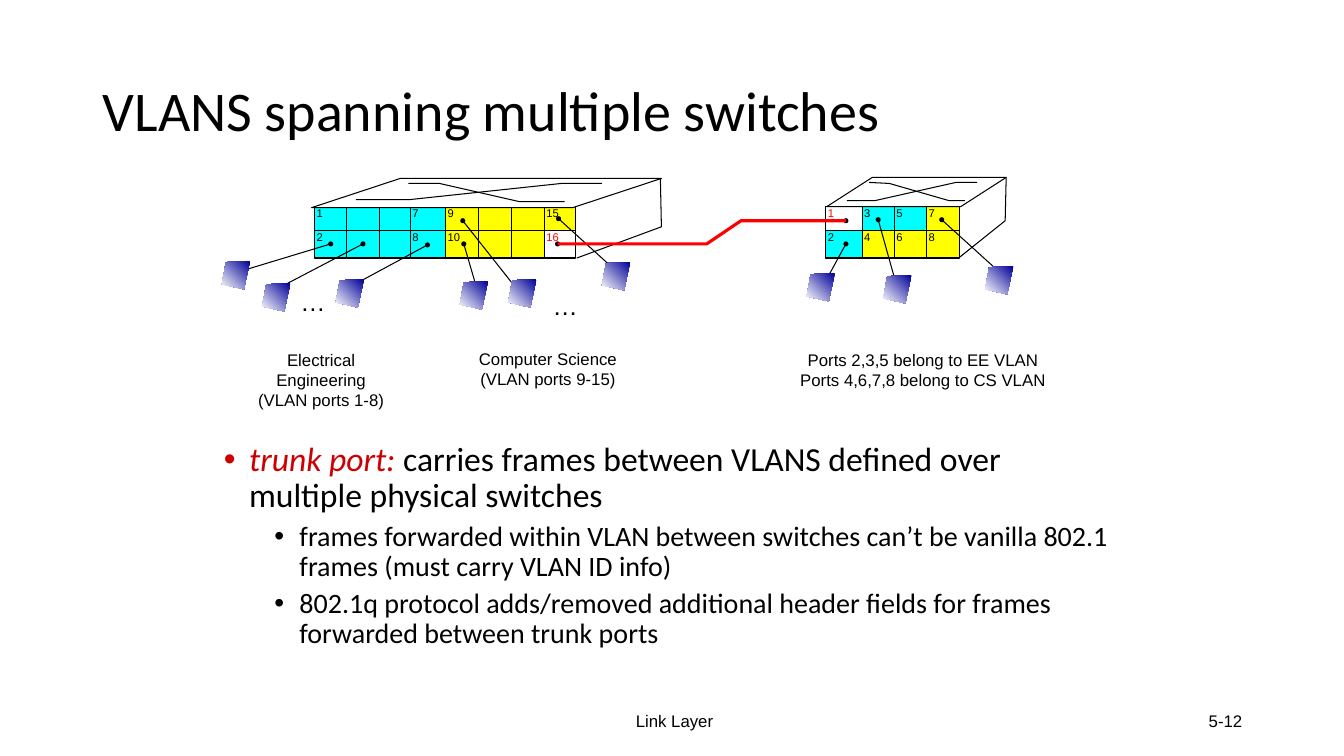
from lxml import etree
from pptx import Presentation
from pptx.dml.color import RGBColor
from pptx.enum import shapes, text
from pptx.oxml.ns import qn
from pptx.util import Inches, Pt

COLORS = {"black": "000000", "white": "FFFFFF", "red": "FF0000", "term": "CC0000",
          "C": "00FFFF", "Y": "FFFF00", "host": "000099"}

TITLE = "VLANS spanning multiple switches"
# (level, [(text, colour, italic)])
BODY = [
    (0, [("trunk port: ", "term", True),
         ("carries frames between VLANS defined over multiple physical switches", "black", False)]),
    (1, [("frames forwarded within VLAN between switches can’t be vanilla 802.1 frames "
          "(must carry VLAN ID info)", "black", False)]),
    (1, [("802.1q protocol adds/removed additional header fields for frames forwarded "
          "between trunk ports", "black", False)]),
]
LEVELS = [dict(size=24, indent=0.25, before=10), dict(size=20, indent=0.75, before=5)]

# Ports are numbered down each column; "." is an uncoloured port.
FRONT_TOP, ROW_SPLIT, FRONT_BOTTOM = 2.05, 2.29, 2.56
SWITCHES = [
    dict(edges=[3.12, 3.44, 3.76, 4.07, 4.42, 4.75, 5.07, 5.4, 5.71],
         rows=["CCCCYYYY", "CCCCYYY."], labels=[1, 2, 7, 8, 9, 10, 15, 16], trunk=16,
         lid=(3.09, 1.77, 3.47, 0.29), slant=3.032,
         outlines=[[(5.72, 2.56), (6.56, 2.25), (6.55, 1.77)],
                   [(3.53, 1.98), (4.07, 1.98), (5.57, 1.82), (5.97, 1.82)],
                   [(4.05, 1.82), (4.36, 1.82), (5.15, 2), (5.6, 2)]]),
    dict(edges=[8.19, 8.55, 8.87, 9.19, 9.52],
         rows=[".CCY", "CYYY"], labels=range(1, 9), trunk=1,
         lid=(8.2, 1.76, 1.78, 0.29), slant=1.556,
         outlines=[[(9.98, 1.76), (9.97, 2.19), (9.52, 2.55)],
                   [(8.4, 1.99), (8.68, 1.99), (9.48, 1.81), (9.69, 1.81)],
                   [(8.62, 1.81), (8.82, 1.82), (9.41, 1.99), (9.57, 1.99)]]),
]
# (port end of cable, host end of cable, top left of host)
HOSTS = [
    ((3.28, 2.42), (2.29, 2.72), (2.2, 2.59)),
    ((3.6, 2.42), (2.72, 2.88), (2.6, 2.81)),
    ((4.24, 2.43), (3.5, 2.83), (3.33, 2.77)),
    ((4.6, 2.42), (4.72, 2.83), (4.56, 2.79)),
    ((4.59, 2.19), (5.12, 2.86), (5.04, 2.77)),
    ((5.54, 2.17), (6.09, 2.67), (5.97, 2.6)),
    ((8.39, 2.42), (8.21, 2.75), (8, 2.71)),
    ((8.71, 2.18), (8.9, 2.86), (8.76, 2.73)),
    ((9.34, 2.18), (9.88, 2.67), (9.77, 2.64)),
]
HOST_OUTLINE = [(0.28, 0), (0.04, 0.01), (0, 0.23), (0.22, 0.28)]
TRUNK = [(5.53, 2.42), (7.01, 2.42), (7.35, 2.19), (8.39, 2.19)]

# (lines, box, format)
CAPTIONS = [
    (["Electrical\vEngineering", "(VLAN ports 1-8)"], (2.28, 3.42, 1.81, 0.7), {}),
    (["Computer Science", "(VLAN ports 9-15)"], (4.65, 3.41, 1.57, 0.5), {}),
    (["Ports 2,3,5 belong to EE VLAN", "Ports 4,6,7,8 belong to CS VLAN"],
     (7.84, 3.42, 2.63, 0.5), {}),
    (["…"], (2.88, 2.79, 0.45, 0.4), dict(size=18)),
    (["…"], (5.38, 2.83, 0.45, 0.4), dict(size=18)),
    (["Link Layer"], (4.44, 6.95, 4.5, 0.4), dict(anchor="MIDDLE")),
    (["5-12"], (9.42, 6.95, 3, 0.4), dict(anchor="MIDDLE", align="RIGHT")),
]

prs = Presentation()
prs.slide_width, prs.slide_height = Inches(13.33), Inches(7.5)
slide = prs.slides.add_slide(prs.slide_layouts[1])
sp_tree = slide.shapes


def rgb(name):
    return RGBColor.from_string(COLORS[name])


def inches(values):
    return [Inches(v) for v in values]


def set_font(font, **values):
    font.color.rgb = rgb(values.pop("color", "black"))
    for key, value in values.items():
        setattr(font, key, value)


def paint(sp, fill=None, line=None, width=0.75):
    sp.shadow.inherit = False
    if fill:
        sp.fill.solid()
        sp.fill.fore_color.rgb = rgb(fill)
    else:
        sp.fill.background()
    if line:
        sp.line.color.rgb = rgb(line)
        sp.line.width = Pt(width)
    else:
        sp.line.fill.background()


def add_shape(kind, box, **style):
    sp = sp_tree.add_shape(kind, *inches(box))
    paint(sp, **style)
    return sp


def add_line(start, end):
    cn = sp_tree.add_connector(shapes.MSO_CONNECTOR.STRAIGHT, *inches(start + end))
    cn.line.color.rgb = rgb("black")
    cn.line.width = Pt(0.75)
    etree.SubElement(cn._element.spPr, qn("a:effectLst"))


def add_outline(points, close=False, **style):
    points = [inches(pt) for pt in points]
    builder = sp_tree.build_freeform(*points[0], scale=1.0)
    builder.add_line_segments(points[1:], close=close)
    sp = builder.convert_to_shape()
    paint(sp, **style)
    return sp


def add_text(lines, box, size=12, color="black", align="CENTER", anchor="TOP"):
    """Add a text box whose side margins are trimmed so that each line fits."""
    tf = sp_tree.add_textbox(*inches(box)).text_frame
    tf.word_wrap = True
    tf.margin_left = tf.margin_right = Inches(0.02 if anchor == "TOP" else 0.1)
    tf.vertical_anchor = text.MSO_ANCHOR[anchor]
    for i, line in enumerate(lines):
        p = tf.add_paragraph() if i else tf.paragraphs[0]
        p.text = line
        p.alignment = text.PP_ALIGN[align]
        for r in p.runs:
            set_font(r.font, name="Arial", size=Pt(size), color=color)


def add_dot(center):
    x, y = center
    add_shape(shapes.MSO_SHAPE.OVAL, (x - 0.025, y - 0.025, 0.05, 0.05), fill="black")


def add_switch(edges, rows, labels, trunk, lid, slant, outlines):
    row_edges = [FRONT_TOP, ROW_SPLIT, FRONT_BOTTOM]
    for row, codes in enumerate(rows):
        top, height = row_edges[row], row_edges[row + 1] - row_edges[row]
        for col, code in enumerate(codes):
            if code != ".":
                add_shape(shapes.MSO_SHAPE.RECTANGLE,
                          (edges[col], top, edges[col + 1] - edges[col], height), fill=code)
    left, right = edges[0], edges[-1]
    add_shape(shapes.MSO_SHAPE.RECTANGLE,
              (left, FRONT_TOP, right - left, FRONT_BOTTOM - FRONT_TOP), line="black")
    add_line((left, ROW_SPLIT), (right, ROW_SPLIT))
    for x in edges[1:-1]:
        add_line((x, FRONT_TOP), (x, FRONT_BOTTOM))
    top_face = add_shape(shapes.MSO_SHAPE.PARALLELOGRAM, lid, fill="white", line="black")
    top_face.adjustments[0] = slant
    for points in outlines:
        add_outline(points, line="black")
    for port in labels:
        col, row = divmod(port - 1, 2)
        add_text([str(port)], (edges[col], 2 + 0.24 * row, 0.3, 0.23), size=8,
                 color="red" if port == trunk else "black", align="LEFT")


def add_host(left, top):
    sp = add_outline([(left + dx, top + dy) for dx, dy in HOST_OUTLINE], close=True)
    sp.fill.gradient()
    sp.fill.gradient_angle = 225
    for stop, name in zip(sp.fill.gradient_stops, ("host", "white")):
        stop.color.rgb = rgb(name)


def fill_placeholder(ph, box, anchor):
    ph.left, ph.top, ph.width, ph.height = inches(box)
    tf = ph.text_frame
    tf.word_wrap = True
    tf.auto_size = text.MSO_AUTO_SIZE.NONE
    tf.vertical_anchor = anchor
    return tf


tf = fill_placeholder(sp_tree.title, (0.92, 0.4, 11.5, 1.45), text.MSO_ANCHOR.MIDDLE)
p = tf.paragraphs[0]
p.text, p.alignment, p.line_spacing = TITLE, text.PP_ALIGN.LEFT, 0.9
set_font(p.runs[0].font, name="Calibri", size=Pt(40))

tf = fill_placeholder(slide.placeholders[1], (2.12, 4.34, 9.07, 2.94), text.MSO_ANCHOR.TOP)
for i, (level, runs) in enumerate(BODY):
    p = tf.add_paragraph() if i else tf.paragraphs[0]
    style = LEVELS[level]
    p.level, p.line_spacing = level, 0.9
    p.space_before = Pt(style["before"] if i else 0)
    pPr = p._p.get_or_add_pPr()
    pPr.set("marL", str(Inches(style["indent"])))
    pPr.set("indent", str(Inches(-0.25)))
    etree.SubElement(pPr, qn("a:buFont"), typeface="Arial")
    etree.SubElement(pPr, qn("a:buChar"), char="•")
    for words, color, italic in runs:
        r = p.add_run()
        r.text = words
        set_font(r.font, name="Calibri", size=Pt(style["size"]), italic=italic, color=color)

for switch in SWITCHES:
    add_switch(**switch)
for port_end, host_end, corner in HOSTS:
    add_line(port_end, host_end)
    add_dot(port_end)
    add_host(*corner)
for end in (TRUNK[0], TRUNK[-1]):
    add_dot(end)
add_outline(TRUNK, line="red", width=2.25)
for lines, box, style in CAPTIONS:
    add_text(lines, box, **style)

prs.save("out.pptx")
